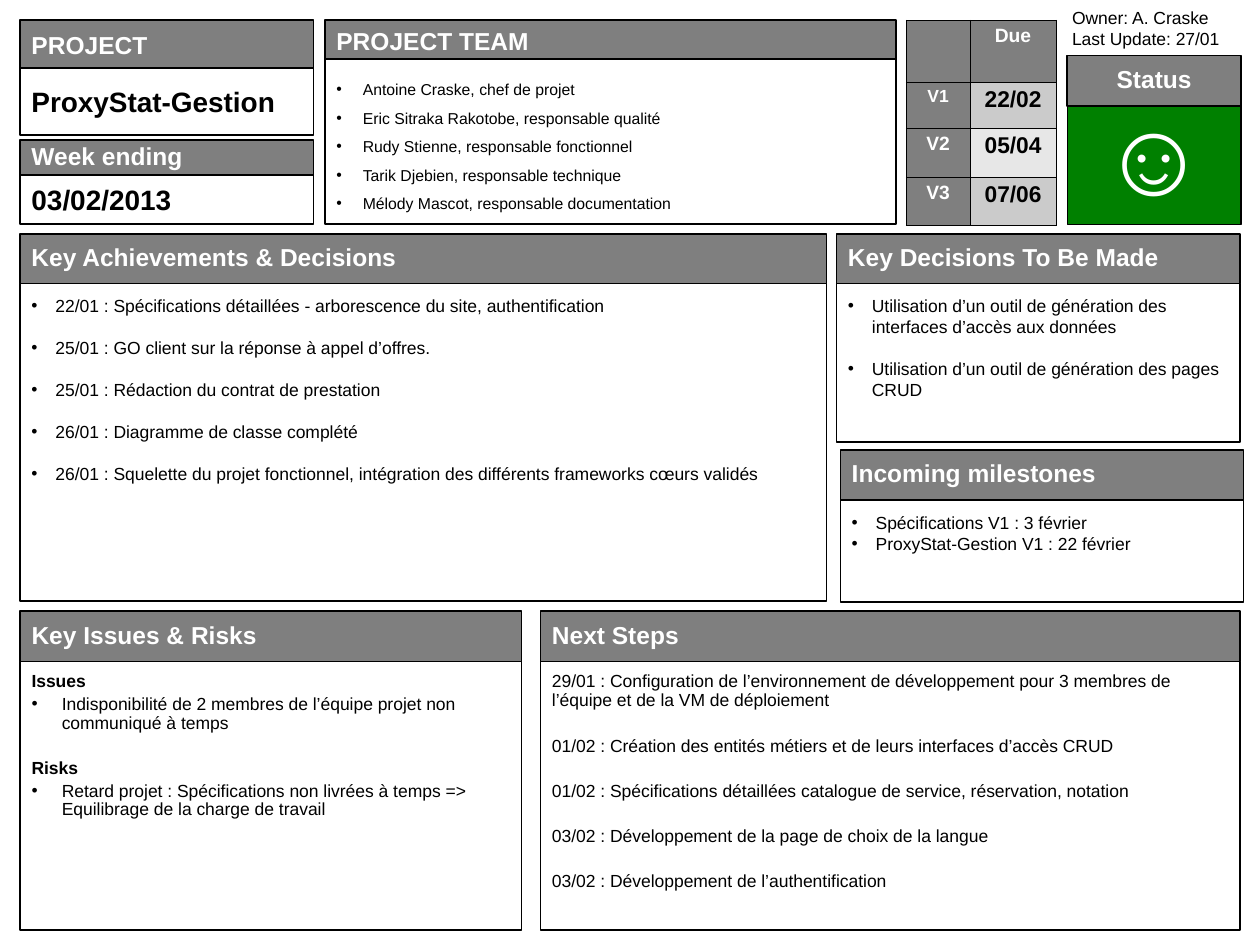
from lxml.etree import SubElement
from pptx import Presentation
from pptx.dml.color import RGBColor
from pptx.enum.shapes import MSO_SHAPE
from pptx.enum.text import MSO_ANCHOR, PP_ALIGN
from pptx.oxml.ns import qn
from pptx.util import Inches, Pt

COLORS = {
    "black": "000000", "white": "FFFFFF", "header": "7F7F7F",
    "good": "008000", "band": "CBCBCB", "light_band": "E7E7E7",
}


def rgb(name):
    return RGBColor.from_string(COLORS[name])


class StatusReport:
    """Holds the slide and the style shared by its elements."""
    font = "Arial"

    def __init__(self, slide):
        self.slide = slide

    def margins(self, target, left, top, bottom=0.05):
        target.margin_left = target.margin_right = Inches(left)
        target.margin_top, target.margin_bottom = Inches(top), Inches(bottom)

    def paragraph(self, p, text, size, color="black", bold=False, spacing=1.0,
                  before=0, indent=0, align=PP_ALIGN.LEFT):
        p.text = text
        if indent:
            props = p._p.get_or_add_pPr()
            props.set("marL", str(Inches(indent)))
            props.set("indent", str(-Inches(indent)))
            SubElement(props, qn("a:buFont"), typeface=self.font)
            SubElement(props, qn("a:buChar"), char="•")
        p.alignment, p.line_spacing = align, spacing
        if before:
            p.space_before = Pt(before)
        p.font.name, p.font.size, p.font.bold = self.font, Pt(size), bold
        p.font.color.rgb = rgb(color)

    def fill_text(self, frame, lines, **style):
        """Each line is a text, or a text with its own style changes."""
        for i, line in enumerate(lines):
            text, changes = (line, {}) if isinstance(line, str) else line
            settings = {**style, **changes}
            if i == 0:
                settings["before"] = 0
            p = frame.paragraphs[0] if i == 0 else frame.add_paragraph()
            self.paragraph(p, text, **settings)

    def box(self, x, y, w, h, fill, lines, middle=False, top=0.05,
            line_width=1, **style):
        shape = self.slide.shapes.add_shape(
            MSO_SHAPE.RECTANGLE, Inches(x), Inches(y), Inches(w), Inches(h))
        shape.shadow.inherit = False
        shape.fill.solid()
        shape.fill.fore_color.rgb = rgb(fill)
        shape.line.color.rgb = rgb("black")
        shape.line.width = Pt(line_width)
        frame = shape.text_frame
        frame.word_wrap = True
        frame.vertical_anchor = MSO_ANCHOR.MIDDLE if middle else MSO_ANCHOR.TOP
        self.margins(frame, 0.09, top)
        self.fill_text(frame, lines, **style)

    def header(self, x, y, w, h, title, top=0.05, align=PP_ALIGN.LEFT):
        self.box(x, y, w, h, "header", [title], middle=True, top=top, size=14,
                 color="white", bold=True, spacing=0.9, align=align)

    def fact(self, x, y, w, header_h, h, title, value, top=0.05):
        self.box(x, y + header_h, w, h, "white", [value], middle=True,
                 size=16, bold=True)
        self.header(x, y, w, header_h, title, top)

    def panel(self, x, y, w, header_h, h, title, lines, header_top=0.05, **style):
        self.box(x, y + header_h, w, h, "white", lines, top=0.09,
                 **{"size": 10, **style})
        self.header(x, y, w, header_h, title, header_top)

    def note(self, x, y, w, h, lines):
        frame = self.slide.shapes.add_textbox(
            Inches(x), Inches(y), Inches(w), Inches(h)).text_frame
        frame.word_wrap = True
        self.fill_text(frame, lines, size=10)

    def cell(self, cell, text, fill, size, color, side):
        cell.fill.solid()
        cell.fill.fore_color.rgb = rgb(fill)
        self.margins(cell, side, 0.05)
        self.paragraph(cell.text_frame.paragraphs[0], text, size, color,
                       bold=True, spacing=0.93, align=PP_ALIGN.CENTER)
        props = cell._tc.get_or_add_tcPr()
        for i, edge in enumerate(("a:lnL", "a:lnR", "a:lnT", "a:lnB")):
            line = SubElement(props, qn(edge), w=str(Pt(0.25)))
            SubElement(SubElement(line, qn("a:solidFill")), qn("a:srgbClr"),
                       val=COLORS["black"])
            props.insert(i, line)

    def due_dates(self, x, y, widths, heights, rows):
        table = self.slide.shapes.add_table(
            len(rows), len(widths), Inches(x), Inches(y),
            Inches(sum(widths)), Inches(sum(heights))).table
        for column, width in zip(table.columns, widths):
            column.width = Inches(width)
        for row, height in zip(table.rows, heights):
            row.height = Inches(height)
        for r, (version, size, date) in enumerate(rows):
            self.cell(table.cell(r, 0), version, "header", size, "white", 0.04)
            if r == 0:
                self.cell(table.cell(r, 1), date, "header", 11, "white", 0.11)
            else:
                band = "band" if r % 2 else "light_band"
                self.cell(table.cell(r, 1), date, band, 13, "black", 0.11)


def main():
    prs = Presentation()
    prs.slide_width, prs.slide_height = Inches(10), Inches(7.5)
    report = StatusReport(prs.slides.add_slide(prs.slide_layouts[6]))
    left = 0.16

    # Project identity and team
    report.fact(left, 1.11, 2.33, 0.28, 0.39, "Week ending", "03/02/2013")
    report.fact(left, 0.16, 2.33, 0.38, 0.53, "PROJECT", "ProxyStat-Gestion",
                top=0.09)
    report.panel(2.58, 0.16, 4.53, 0.31, 1.31, "PROJECT TEAM", [
        "Antoine Craske, chef de projet",
        "Eric Sitraka Rakotobe, responsable qualité",
        "Rudy Stienne, responsable fonctionnel",
        "Tarik Djebien, responsable technique",
        "Mélody Mascot, responsable documentation",
    ], header_top=0.09, size=9, spacing=1.5, indent=0.21)

    # Due dates and status
    report.due_dates(7.19, 0.16, [0.51, 0.68], [0.49, 0.37, 0.39, 0.38], [
        ("", 11, "Due"), ("V1", 10, "22/02"),
        ("V2", 11, "05/04"), ("V3", 11, "07/06"),
    ])
    report.note(8.41, 0.01, 1.42, 0.44,
                ["Owner: A. Craske", "Last Update: 27/01"])
    report.box(8.47, 0.84, 1.38, 0.94, "good", ["☺"], middle=True,
               line_width=0.75, size=60, color="white", spacing=0.8,
               align=PP_ALIGN.CENTER)
    report.header(8.47, 0.44, 1.38, 0.4, "Status", align=PP_ALIGN.CENTER)

    # Achievements, decisions and milestones
    report.panel(left, 1.86, 6.4, 0.39, 2.52, "Key Achievements & Decisions", [
        "22/01 : Spécifications détaillées - arborescence du site, authentification",
        "25/01 : GO client sur la réponse à appel d’offres.",
        "25/01 : Rédaction du contrat de prestation",
        "26/01 : Diagramme de classe complété",
        "26/01 : Squelette du projet fonctionnel, intégration des différents "
        "frameworks cœurs validés",
    ], before=12, indent=0.19)
    report.panel(6.64, 1.86, 3.2, 0.39, 1.26, "Key Decisions To Be Made", [
        "Utilisation d’un outil de génération des interfaces d’accès aux données",
        "Utilisation d’un outil de génération des pages CRUD",
    ], before=12, indent=0.19)
    report.panel(6.67, 3.57, 3.2, 0.4, 0.81, "Incoming milestones", [
        "Spécifications V1 : 3 février",
        "ProxyStat-Gestion V1 : 22 février",
    ], indent=0.19)

    # Issues, risks and next steps
    heading = {"bold": True, "before": 15}
    bullet = {"indent": 0.24, "before": 2}
    report.panel(left, 4.85, 3.98, 0.4, 2.13, "Key Issues & Risks", [
        ("Issues", heading),
        ("Indisponibilité de 2 membres de l’équipe projet non communiqué à temps",
         bullet),
        ("Risks", heading),
        ("Retard projet : Spécifications non livrées à temps => Equilibrage de "
         "la charge de travail", bullet),
    ], spacing=0.9)
    report.panel(4.29, 4.85, 5.55, 0.4, 2.13, "Next Steps", [
        "29/01 : Configuration de l’environnement de développement pour 3 "
        "membres de l’équipe et de la VM de déploiement",
        "01/02 : Création des entités métiers et de leurs interfaces d’accès CRUD",
        "01/02 : Spécifications détaillées catalogue de service, réservation, notation",
        "03/02 : Développement de la page de choix de la langue",
        "03/02 : Développement de l’authentification",
    ], spacing=0.9, before=15)

    prs.save("out.pptx")


if __name__ == "__main__":
    main()
